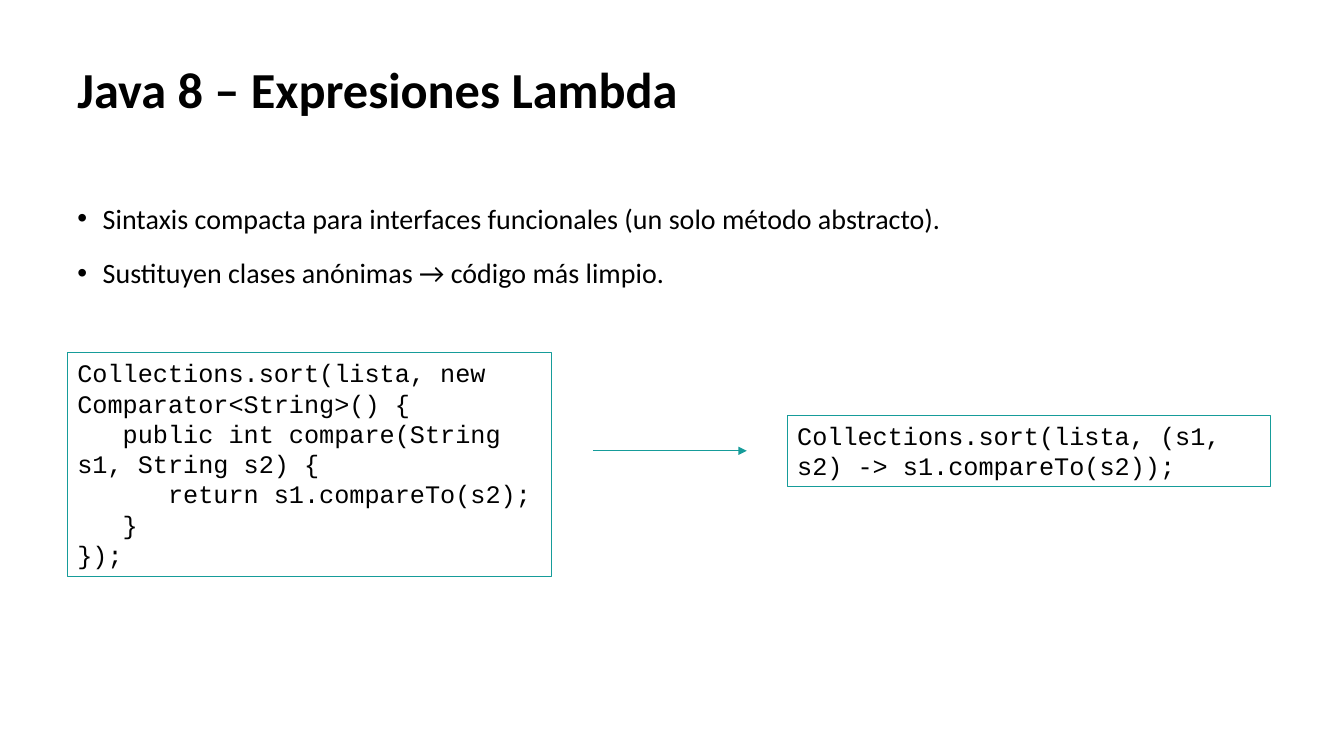
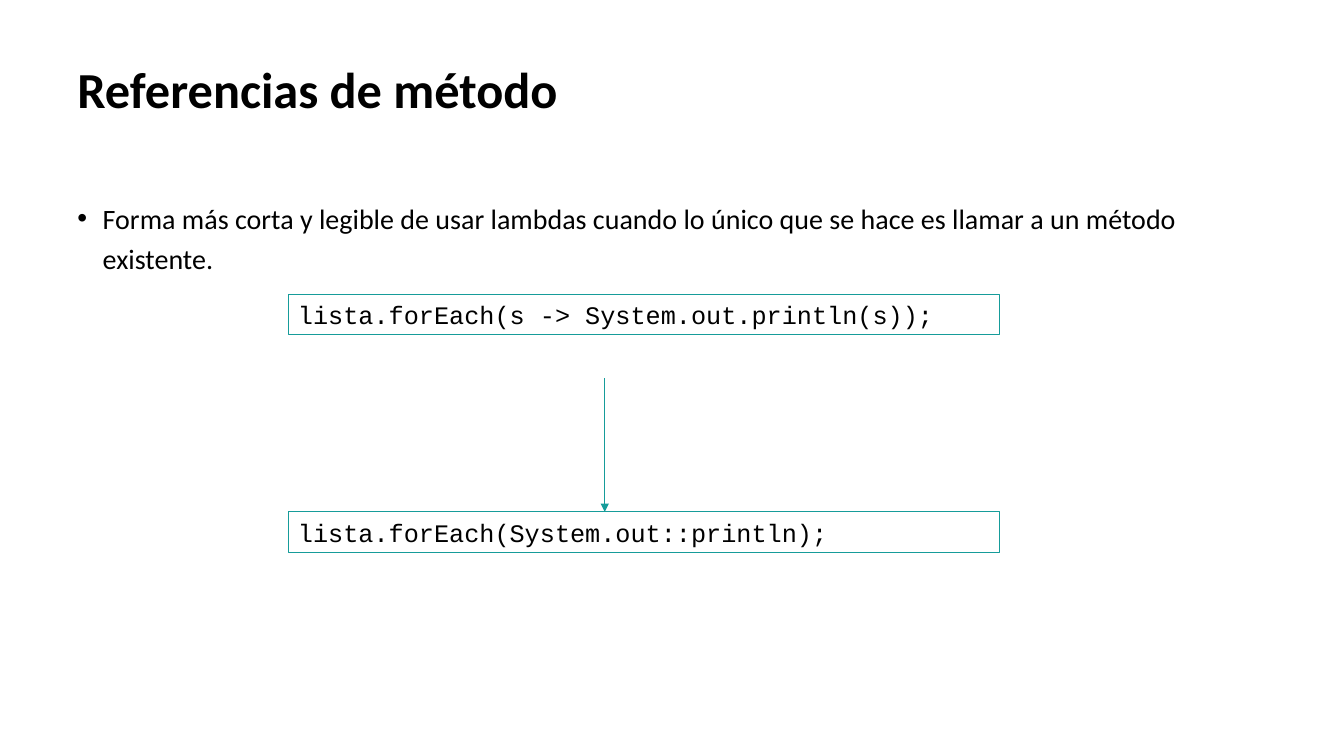
import pptx
import pptx.dml.color
import pptx.enum.shapes
import pptx.enum.text
import pptx.oxml.ns
import pptx.util
import lxml.etree

Cm, Pt = pptx.util.Cm, pptx.util.Pt
RGB = pptx.dml.color.RGBColor
qn = pptx.oxml.ns.qn
sub = lxml.etree.SubElement

theme = {
    "ink": RGB.from_string("000000"),
    "teal": RGB.from_string("169C9A"),
    "edge": Pt(0.75),
    "stroke": Pt(0.5),
    "indent": Cm(0.64),
    "title": {
        "font": {"name": "Calibri", "size": Pt(36), "bold": True},
        "para": {"line_spacing": 0.9},
    },
    "body": {
        "font": {"name": "Calibri", "size": Pt(20), "bold": False},
        "para": {"line_spacing": 1.2},
        "gap": Pt(10),
    },
    "code": {
        "font": {"name": "Courier New", "size": Pt(18), "bold": False},
        "para": {"alignment": pptx.enum.text.PP_ALIGN.LEFT},
    },
}

pages = [
    {
        "title": "Java 8 – Expresiones Lambda",
        "points": [
            "Sintaxis compacta para interfaces funcionales (un solo método abstracto).",
            "Sustituyen clases anónimas → código más limpio.",
        ],
        "codes": [
            ((1.7, 8.89, 12.19, 5.64), [
                "Collections.sort(lista, new Comparator<String>() {",
                "   public int compare(String s1, String s2) {",
                "      return s1.compareTo(s2);",
                "   }",
                "});",
            ]),
            ((19.84, 10.46, 12.19, 1.8),
             ["Collections.sort(lista, (s1, s2) -> s1.compareTo(s2));"]),
        ],
        "arrow": (14.94, 11.36, 18.82, 11.36),
    },
    {
        "title": "Referencias de método",
        "points": [
            "Forma más corta y legible de usar lambdas cuando lo único "
            "que se hace es llamar a un método existente.",
        ],
        "codes": [
            ((7.26, 7.42, 17.93, 1.02), ["lista.forEach(s -> System.out.println(s));"]),
            ((7.26, 12.9, 17.93, 1.02), ["lista.forEach(System.out::println);"]),
        ],
        "arrow": (15.24, 9.53, 15.24, 12.9),
    },
]


def write(shape, lines, kind):
    style = theme[kind]
    frame = shape.text_frame
    frame.word_wrap = True
    frame.vertical_anchor = pptx.enum.text.MSO_ANCHOR.TOP
    for i, line in enumerate(lines):
        para = frame.add_paragraph() if i else frame.paragraphs[0]
        para.text = line
        for key, value in style["para"].items():
            setattr(para, key, value)
        if i and "gap" in style:
            para.space_before = style["gap"]
        if kind == "body":
            props = para._p.get_or_add_pPr()
            props.set("marL", str(theme["indent"]))
            props.set("indent", str(-theme["indent"]))
            sub(props, qn("a:buFont"), typeface="Arial")
            sub(props, qn("a:buChar"), char="•")
        for key, value in style["font"].items():
            setattr(para.font, key, value)
        para.font.color.rgb = theme["ink"]


deck = pptx.Presentation()
deck.slide_width, deck.slide_height = Cm(33.87), Cm(19.05)

for page in pages:
    slide = deck.slides.add_slide(deck.slide_layouts[6])
    shapes = slide.shapes
    title = shapes.add_textbox(Cm(1.7), Cm(1.52), Cm(29.6), Cm(3.15))
    write(title, [page["title"]], "title")
    body = shapes.add_textbox(Cm(1.7), Cm(4.78), Cm(30.3), Cm(2.65))
    write(body, page["points"], "body")

    for place, lines in page["codes"]:
        box = shapes.add_shape(pptx.enum.shapes.MSO_SHAPE.RECTANGLE, *map(Cm, place))
        box.shadow.inherit = False
        box.fill.background()
        box.line.color.rgb = theme["teal"]
        box.line.width = theme["edge"]
        write(box, lines, "code")

    arrow = shapes.add_connector(
        pptx.enum.shapes.MSO_CONNECTOR.STRAIGHT, *map(Cm, page["arrow"]))
    arrow.line.color.rgb = theme["teal"]
    arrow.line.width = theme["stroke"]
    props = arrow._element.spPr
    sub(props.find(qn("a:ln")), qn("a:tailEnd"), type="triangle")
    sub(props, qn("a:effectLst"))

deck.save("out.pptx")
